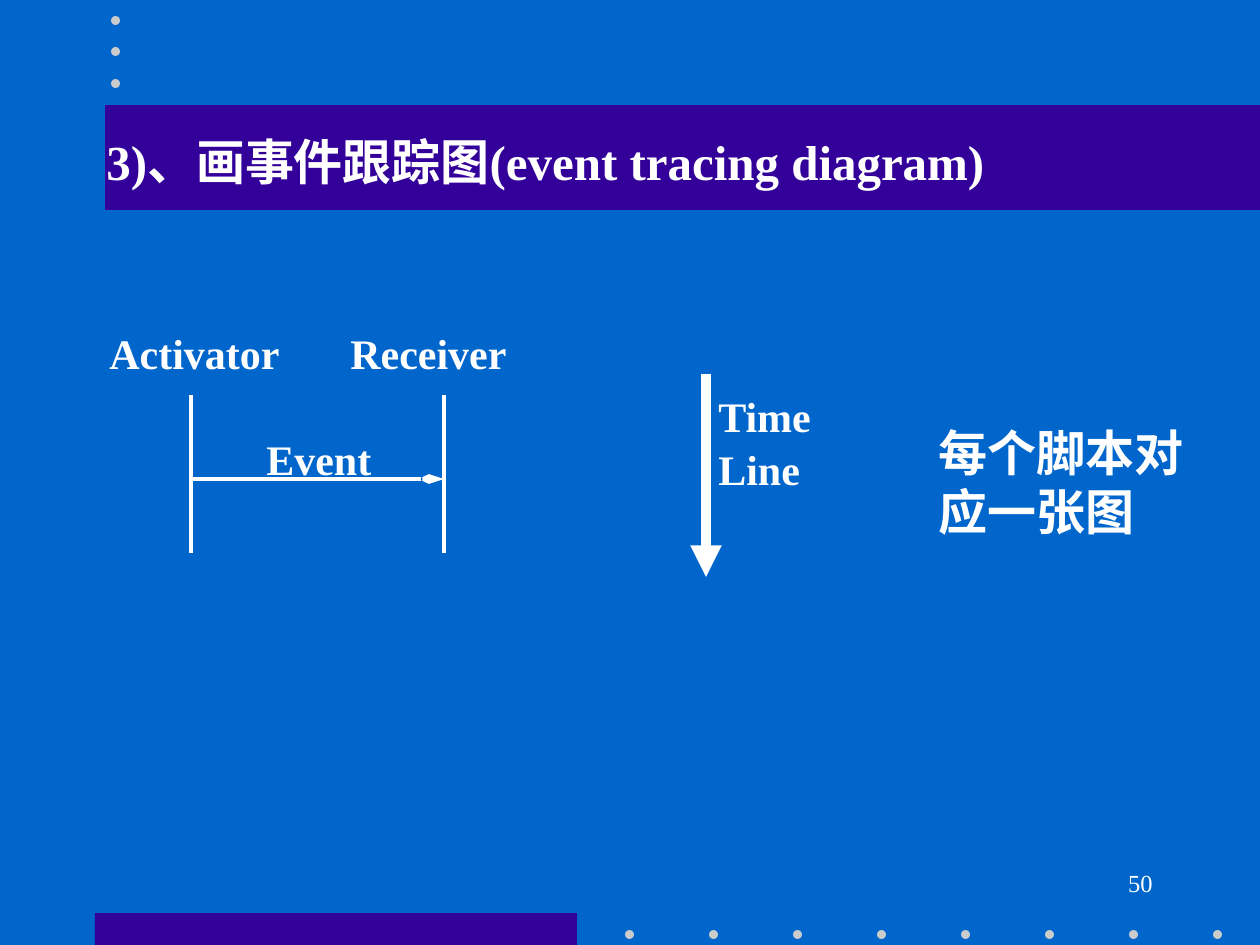
import pptx
import pptx.dml.color
import pptx.enum.shapes
import pptx.enum.text
import pptx.oxml.ns
import pptx.util
from lxml import etree

SCALE = 914400 / 126
SHAPE = pptx.enum.shapes.MSO_SHAPE
ALIGN = pptx.enum.text.PP_ALIGN
WHITE, PURPLE, GREY, BLUE = "FFFFFF", "330099", "CBCBCB", "0066CC"


def px(n):
    """Turn pixels into EMU."""
    return pptx.util.Emu(round(n * SCALE))


def rgb(color):
    """Turn a hex string into a colour."""
    return pptx.dml.color.RGBColor.from_string(color)


def add_block(s, kind, x, y, w, h, color):
    """Add a plain filled shape."""
    sp = s.shapes.add_shape(kind, px(x), px(y), px(w), px(h))
    sp.shadow.inherit = False
    sp.fill.solid()
    sp.fill.fore_color.rgb = rgb(color)
    sp.line.fill.background()


def add_text(s, text, x, y, w, h, size=24, bold=True, align=ALIGN.LEFT):
    """Add a white text box with one paragraph."""
    tf = s.shapes.add_textbox(px(x), px(y), px(w), px(h)).text_frame
    tf.word_wrap = True
    p = tf.paragraphs[0]
    p.alignment = align
    r = p.add_run()
    r.text = text
    r.font.name = "Times New Roman"
    r.font.size = pptx.util.Pt(size)
    r.font.bold = bold
    r.font.color.rgb = rgb(WHITE)


def add_line(s, x1, y1, x2, y2, width=2.25, head=None):
    """Add a white straight line, with an optional (type, width, length) arrowhead."""
    line = s.shapes.add_connector(
        pptx.enum.shapes.MSO_CONNECTOR.STRAIGHT, px(x1), px(y1), px(x2), px(y2))
    line.line.color.rgb = rgb(WHITE)
    line.line.width = pptx.util.Pt(width)
    qn = pptx.oxml.ns.qn
    if head:
        tail = etree.SubElement(line.line._get_or_add_ln(), qn("a:tailEnd"))
        for name, value in zip(("type", "w", "len"), head):
            tail.set(name, value)
    etree.SubElement(line._element.spPr, qn("a:effectLst"))


def add_header(s, x, y, w, h):
    """Draw the title band with its column of dots above."""
    add_block(s, SHAPE.RECTANGLE, x, y, w, h, PURPLE)
    for i in range(3):
        add_block(s, SHAPE.OVAL, x + 6, y - 89 + i * 63 // 2, 9, 9, GREY)
    add_text(s, "3)、画事件跟踪图(event tracing diagram)",
             x - 11, y + 20, 1092, 72, size=28)


def add_footer(s, x, y, w, h):
    """Draw the bottom bar, its row of dots and the page number."""
    add_block(s, SHAPE.RECTANGLE, x, y, w, h, PURPLE)
    for i in range(8):
        add_block(s, SHAPE.OVAL, x + 530 + i * 84, y + 17, 9, 9, GREY)
    add_text(s, "50", x + 808, y - 51, 262, 63, size=14, bold=False, align=ALIGN.RIGHT)


def add_event_diagram(s, x, y, w, h):
    """Draw the two lifelines and the event between them."""
    left, right, event_y = x + 94, x + w, y + 158
    for line_x in (left, right):
        add_line(s, line_x, y + 74, line_x, y + h)
    add_line(s, left, event_y, right, event_y, head=("arrow", "sm", "lg"))
    add_text(s, "Event", x + 157, y + 106, 136, 63)
    for label, offset in (("Activator", 0), ("Receiver", 241)):
        add_text(s, label, x + offset, y, 199, 63)


def add_time_line(s, x, y, w, h):
    """Draw the downward time arrow with its two-word label."""
    add_line(s, x, y, x, y + h, width=6, head=("triangle", "med", "med"))
    for i, word in enumerate(("Time", "Line")):
        add_text(s, word, x, y + 10 + i * 53, w, 63)


def main():
    """Build the slide and save it."""
    prs = pptx.Presentation()
    prs.slide_width, prs.slide_height = px(1260), px(945)
    s = prs.slides.add_slide(prs.slide_layouts[6])
    s.background.fill.solid()
    s.background.fill.fore_color.rgb = rgb(BLUE)
    add_footer(s, 95, 913, 482, 32)
    add_header(s, 105, 105, 1155, 105)
    add_event_diagram(s, 97, 321, 347, 232)
    add_time_line(s, 706, 374, 136, 203)
    add_text(s, "每个脚本对应一张图", 926, 416, 273, 131, size=28)
    prs.save("out.pptx")


if __name__ == "__main__":
    main()
